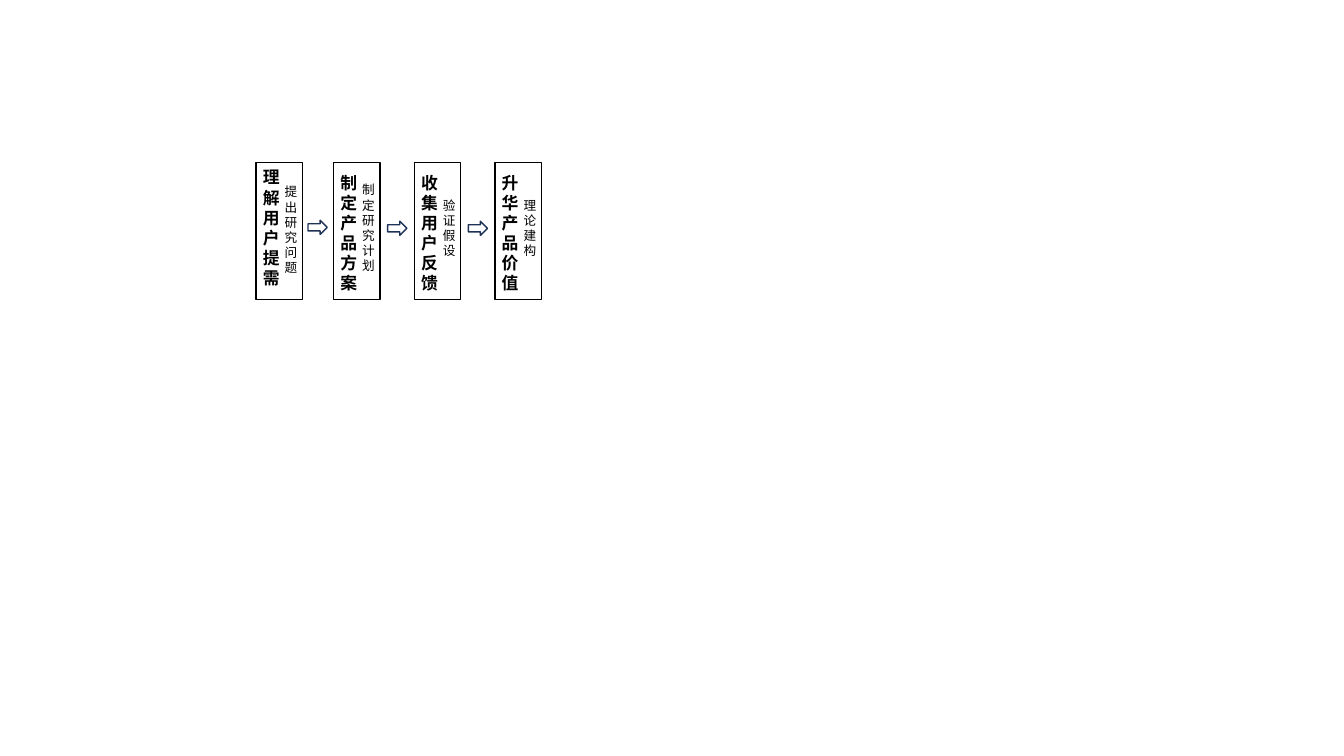
from lxml.etree import SubElement
from pptx import Presentation
from pptx.dml.color import RGBColor
from pptx.enum.shapes import MSO_SHAPE as SHAPE
from pptx.enum.text import MSO_ANCHOR as ANCHOR, PP_ALIGN as ALIGN
from pptx.oxml.ns import qn
from pptx.util import Pt

PX = 9144  # 100 px to the inch
FONT = "Noto Sans CJK SC"
COLORS = {"ink": "000000", "arrow": "1E3256", "paper": "FFFFFF"}
BOX_TOP, BOX_W, BOX_H = 161, 46, 136
ARROW_W, ARROW_H = 14, 19

# box left, headline, headline top, note, note top
STEPS = [
    (254, "理解用户提需", 161, "提出研究问题", 178),
    (331, "制定产品方案", 166, "制定研究计划", 176),
    (411, "收集用户反馈", 166, "验证假设", 191),
    (491, "升华产品价值", 166, "理论建构", 191),
]
ARROWS = [(308, 216), (387, 217), (467, 217)]


def color(name):
    return RGBColor.from_string(COLORS[name])


def add_column(shapes, left, top, width, text, size, bold):
    """Add a narrow text box that wraps after every character."""
    pitch = size * 1.2
    height = round(len(text) * pitch * 100 / 72) + 10
    tb = shapes.add_textbox(left * PX, top * PX, width * PX, height * PX)
    tf = tb.text_frame
    tf.word_wrap = True
    tf.vertical_anchor = ANCHOR.TOP
    p = tf.paragraphs[0]
    p.alignment = ALIGN.CENTER
    p.line_spacing = Pt(pitch)
    r = p.add_run()
    r.text = text
    r.font.size = Pt(size)
    r.font.bold = bold
    r.font.name = FONT
    r.font.color.rgb = color("ink")
    SubElement(r.font._element, qn("a:ea"), typeface=FONT)


prs = Presentation()
prs.slide_width, prs.slide_height = 1333 * PX, 750 * PX
s = prs.slides.add_slide(prs.slide_layouts[6])

for left, headline, headline_top, note, note_top in STEPS:
    step = s.shapes.add_group_shape().shapes
    box = step.add_shape(SHAPE.RECTANGLE, left * PX, BOX_TOP * PX, BOX_W * PX, BOX_H * PX)
    box.shadow.inherit = False
    box.fill.background()
    box.line.color.rgb = color("ink")
    box.line.width = Pt(1)
    add_column(step, left - 8, headline_top, 46, headline, 12, True)
    add_column(step, left + 15, note_top, 39, note, 9, False)

for left, top in ARROWS:
    arrow = s.shapes.add_shape(SHAPE.DOWN_ARROW, left * PX, top * PX, ARROW_W * PX, ARROW_H * PX)
    arrow.rotation = 270
    arrow.shadow.inherit = False
    arrow.fill.solid()
    arrow.fill.fore_color.rgb = color("paper")
    arrow.line.color.rgb = color("arrow")
    arrow.line.width = Pt(1)

prs.save("out.pptx")
